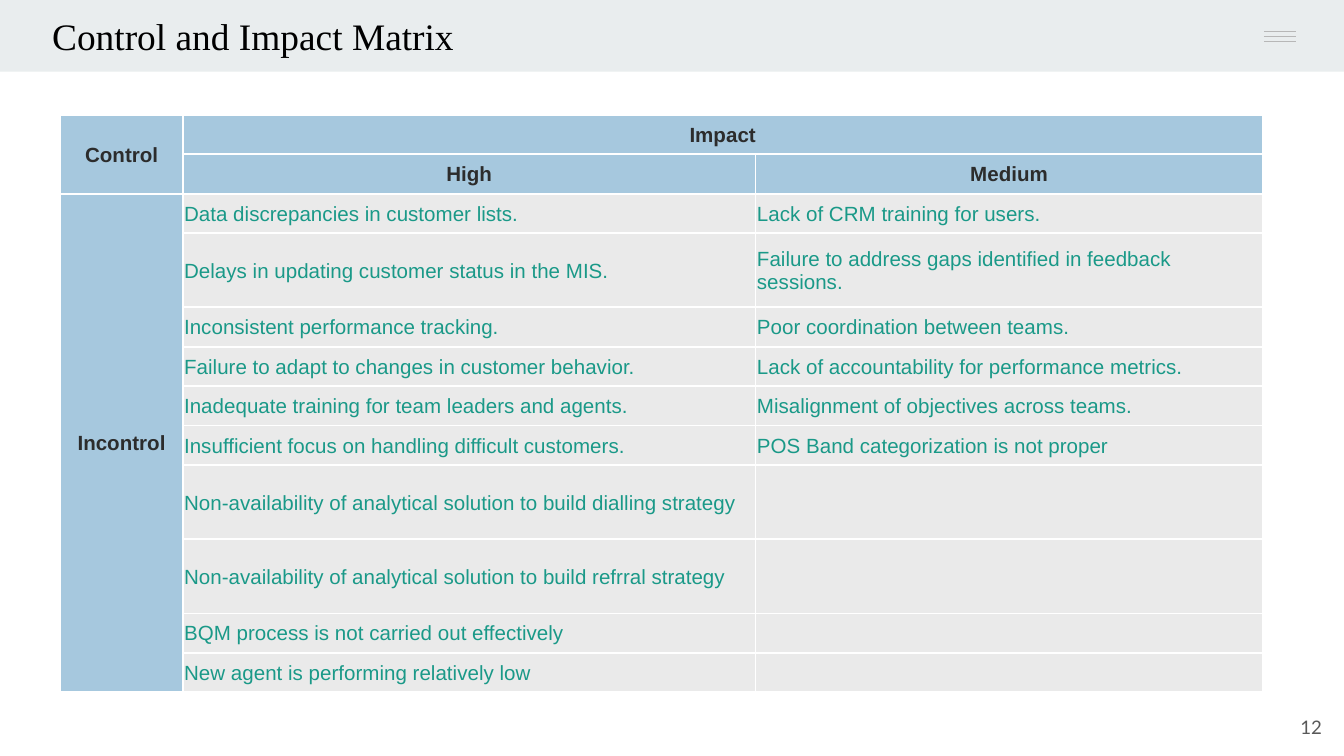
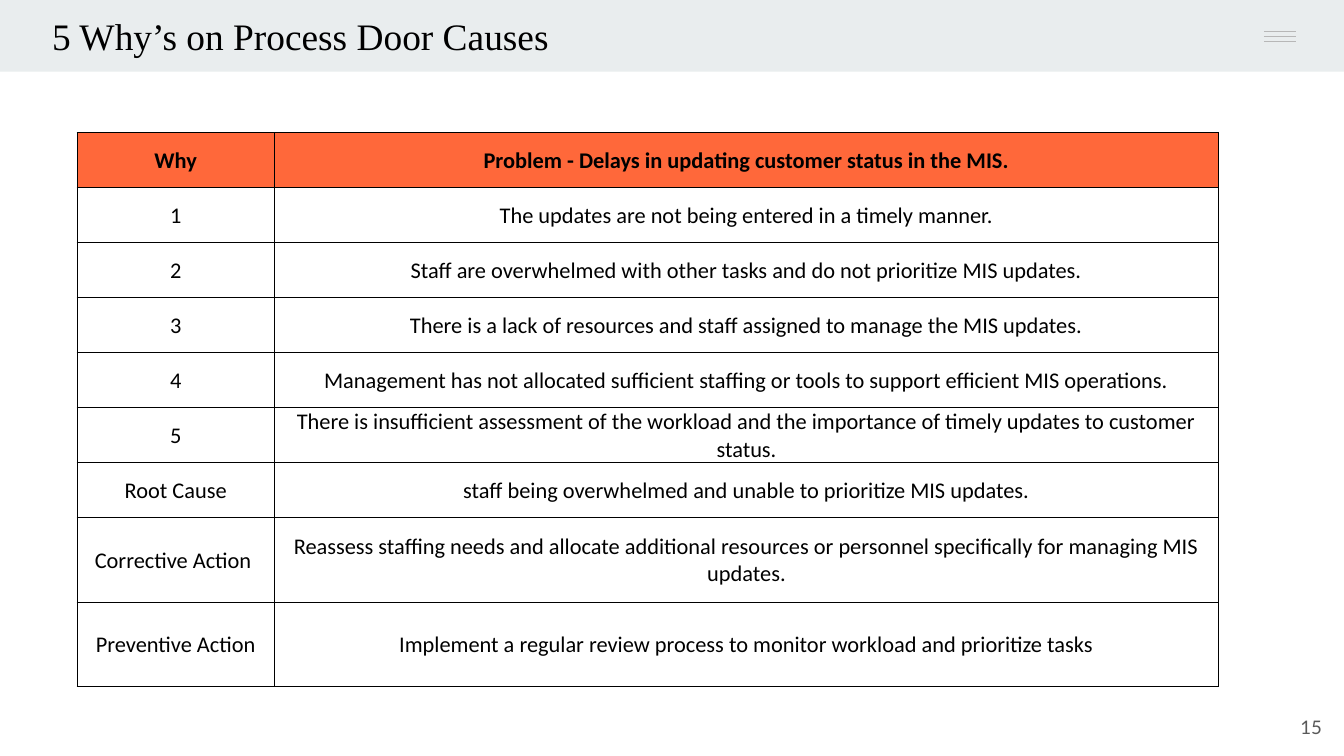
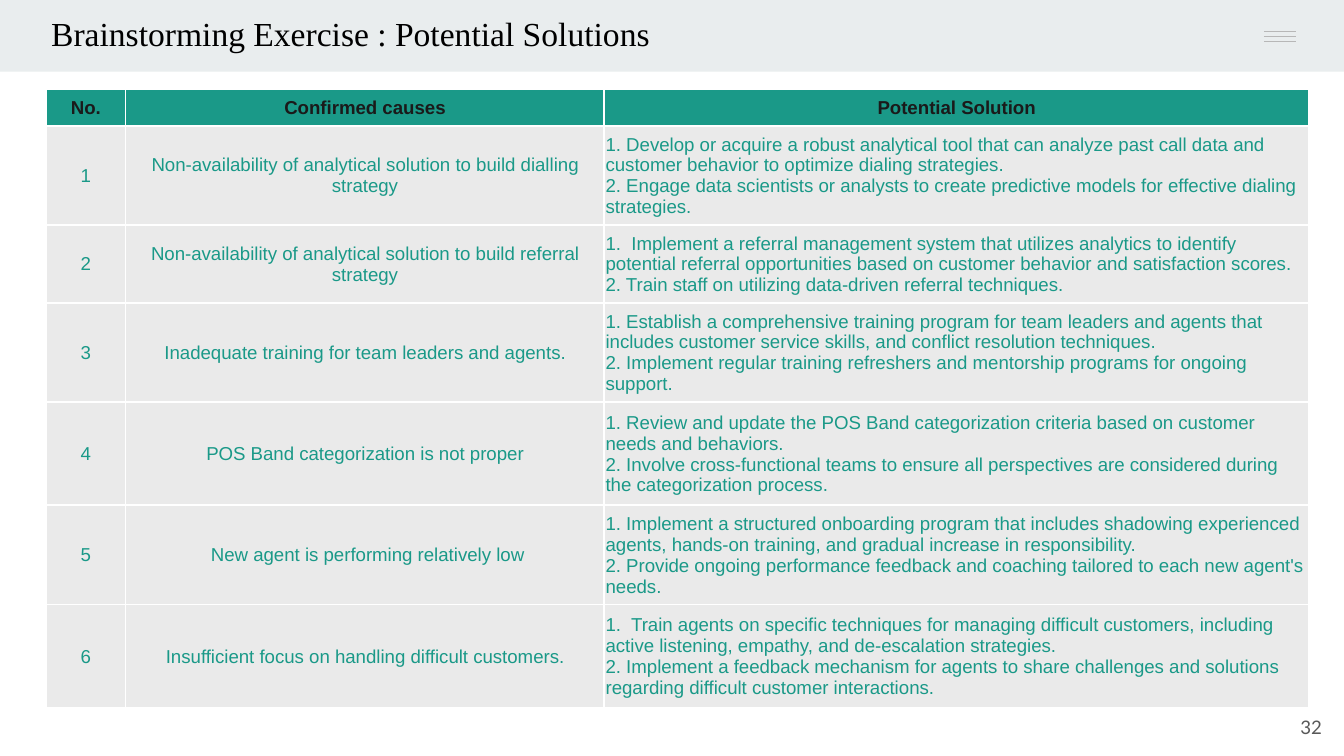
from itertools import product

from lxml import etree
from pptx import Presentation
from pptx import util as u
from pptx.dml.color import RGBColor
from pptx.enum import shapes, text
from pptx.oxml.ns import qn

SLIDE_WIDTH = u.Inches(10)
SLIDE_HEIGHT = u.Emu(SLIDE_WIDTH * 9 // 16)
UNIT = SLIDE_WIDTH / 100

BAND = RGBColor(0xE9, 0xED, 0xEE)
MENU_GREY = RGBColor(0xB7, 0xB7, 0xB7)
NUMBER_GREY = RGBColor(0x59, 0x59, 0x59)
BLACK = RGBColor(0x00, 0x00, 0x00)
WHITE = RGBColor(0xFF, 0xFF, 0xFF)
TEAL = RGBColor(0x1A, 0x99, 0x88)
PALE_BLUE = RGBColor(0xA6, 0xC8, 0xDE)
CELL_GREY = RGBColor(0xEA, 0xEA, 0xEA)
ORANGE = RGBColor(0xFF, 0x68, 0x3A)
CHARCOAL = RGBColor(0x2C, 0x2C, 0x2C)
INK = RGBColor(0x1A, 0x1A, 0x1A)

LEFT, CENTER, RIGHT = text.PP_ALIGN.LEFT, text.PP_ALIGN.CENTER, text.PP_ALIGN.RIGHT

BAND_BOX = (0, 0, 100, 5.33)
MENU_BOX = (90.6, 0, 9.4, 5)
NUMBER_BOX = (93.35, 51.95, 6, 4.3)

IMPACT_ROWS = [
    ("Control", "Impact", ""),
    ("", "High", "Medium"),
    ("Incontrol", "Data discrepancies in customer lists.", "Lack of CRM training for users."),
    ("", "Delays in updating customer status in the MIS.",
     "Failure to address gaps identified in feedback sessions."),
    ("", "Inconsistent performance tracking.", "Poor coordination between teams."),
    ("", "Failure to adapt to changes in customer behavior.",
     "Lack of accountability for performance metrics."),
    ("", "Inadequate training for team leaders and agents.",
     "Misalignment of objectives across teams."),
    ("", "Insufficient focus on handling difficult customers.",
     "POS Band categorization is not proper"),
    ("", "Non-availability of analytical solution to build dialling strategy", ""),
    ("", "Non-availability of analytical solution to build refrral strategy", ""),
    ("", "BQM process is not carried out effectively", ""),
    ("", "New agent is performing relatively low", ""),
]

WHY_ROWS = [
    ("Why", "Problem - Delays in updating customer status in the MIS."),
    ("1", "The updates are not being entered in a timely manner."),
    ("2", "Staff are overwhelmed with other tasks and do not prioritize MIS updates."),
    ("3", "There is a lack of resources and staff assigned to manage the MIS updates."),
    ("4", "Management has not allocated sufficient staffing or tools to support efficient "
          "MIS operations."),
    ("5", "There is insufficient assessment of the workload and the importance of timely "
          "updates to customer status."),
    ("Root Cause", "staff being overwhelmed and unable to prioritize MIS updates."),
    ("Corrective Action ", "Reassess staffing needs and allocate additional resources or "
                           "personnel specifically for managing MIS updates."),
    ("Preventive Action", "Implement a regular review process to monitor workload and "
                          "prioritize tasks"),
]

SOLUTION_ROWS = [
    ("No.", "Confirmed causes", "Potential Solution"),
    ("1", "Non-availability of analytical solution to build dialling strategy",
     "1. Develop or acquire a robust analytical tool that can analyze past call data and "
     "customer behavior to optimize dialing strategies.\n"
     "2. Engage data scientists or analysts to create predictive models for effective "
     "dialing strategies."),
    ("2", "Non-availability of analytical solution to build referral strategy",
     "1.  Implement a referral management system that utilizes analytics to identify "
     "potential referral opportunities based on customer behavior and satisfaction scores.\n"
     "2. Train staff on utilizing data-driven referral techniques."),
    ("3", "Inadequate training for team leaders and agents.",
     "1. Establish a comprehensive training program for team leaders and agents that "
     "includes customer service skills, and conflict resolution techniques.\n"
     "2. Implement regular training refreshers and mentorship programs for ongoing support."),
    ("4", "POS Band categorization is not proper",
     "1. Review and update the POS Band categorization criteria based on customer needs "
     "and behaviors.\n"
     "2. Involve cross-functional teams to ensure all perspectives are considered during "
     "the categorization process."),
    ("5", " New agent is performing relatively low",
     "1. Implement a structured onboarding program that includes shadowing experienced "
     "agents, hands-on training, and gradual increase in responsibility.\n"
     "2. Provide ongoing performance feedback and coaching tailored to each new agent's "
     "needs."),
    ("6", "Insufficient focus on handling difficult customers.",
     "1.  Train agents on specific techniques for managing difficult customers, including "
     "active listening, empathy, and de-escalation strategies.\n"
     "2. Implement a feedback mechanism for agents to share challenges and solutions "
     "regarding difficult customer interactions."),
]


def place(*lengths):
    """Turn grid units, each a hundredth of the slide's width, into slide lengths."""
    return [u.Emu(round(length * UNIT)) for length in lengths]


def shares(total, weights):
    """Split a length in grid units in proportion to the weights."""
    return place(*(total * weight / sum(weights) for weight in weights))


def set_all(target, values):
    """Set each named attribute of the target."""
    for name, value in values.items():
        setattr(target, name, value)


def write(paragraph, content, font, size, color, bold=False, align=LEFT):
    """Write one paragraph in one format, line breaks included."""
    paragraph.text = content
    paragraph.alignment = align
    for run in paragraph.runs:
        set_all(run.font, {"name": font, "size": u.Pt(size), "bold": bold})
        run.font.color.rgb = color
    points = str(size * 100)
    for line_break in paragraph._p.findall(qn("a:br")):
        etree.SubElement(line_break, qn("a:rPr"), sz=points)
    etree.SubElement(paragraph._p, qn("a:endParaRPr"), sz=points)


def add_label(slide, box, content, anchor=text.MSO_ANCHOR.TOP, **style):
    """Add a wrapped text box with equal insets."""
    frame = slide.shapes.add_textbox(*place(*box)).text_frame
    sides = ("left", "top", "right", "bottom")
    set_all(frame, {"word_wrap": True, "vertical_anchor": anchor,
                    **{f"margin_{side}": u.Inches(0.1) for side in sides}})
    write(frame.paragraphs[0], content, **style)


def add_band(slide, box):
    """Add a plain band without outline."""
    band = slide.shapes.add_shape(shapes.MSO_SHAPE.RECTANGLE, *place(*box))
    band.shadow.inherit = False
    band.fill.solid()
    band.fill.fore_color.rgb = BAND
    band.line.fill.background()


def add_menu(slide, box):
    """Add the three menu lines on their own band."""
    add_band(slide, box)
    left, top = box[0] + 3.45, box[1] + 2.35
    for index in range(3):
        height = top + 0.37 * index
        line = slide.shapes.add_connector(
            shapes.MSO_CONNECTOR.STRAIGHT, *place(left, height, left + 2.4, height))
        line.line.color.rgb = MENU_GREY
        line.line.width = u.Pt(0.75)
        etree.SubElement(line._element.spPr, qn("a:effectLst"))


def add_page(presentation, title, number, title_width=51.2, title_size=20):
    """Add a blank slide with its header and page number."""
    slide = presentation.slides.add_slide(presentation.slide_layouts[6])
    add_band(slide, BAND_BOX)
    add_menu(slide, MENU_BOX)
    add_label(slide, (2.2, 0, title_width, BAND_BOX[3]), " " + title,
              font="Times New Roman", size=title_size, color=BLACK)
    add_label(slide, NUMBER_BOX, str(number), text.MSO_ANCHOR.MIDDLE,
              font="Lato", size=10, color=NUMBER_GREY, align=RIGHT)
    return slide


def add_borders(cell, color, width):
    """Draw the four borders of a cell."""
    properties = cell._tc.get_or_add_tcPr()
    for side in "LRTB":
        line = etree.SubElement(properties, qn(f"a:ln{side}"), w=str(u.Pt(width)))
        fill = etree.SubElement(line, qn("a:solidFill"))
        etree.SubElement(fill, qn("a:srgbClr"), val=str(color))


def add_grid(slide, box, columns, heights, rows, border, style, merges=()):
    """Add a table whose columns and rows share the box by weight."""
    left, top, width, height = box
    table = slide.shapes.add_table(len(rows), len(columns), *place(*box)).table
    set_all(table, {"first_row": False, "horz_banding": False})
    for column, length in zip(table.columns, shares(width, columns)):
        column.width = length
    for row, length in zip(table.rows, shares(height, heights)):
        row.height = length
    for first, last in merges:
        table.cell(*first).merge(table.cell(*last))
    for row, column in product(range(len(rows)), range(len(columns))):
        cell = table.cell(row, column)
        fill, cell_style = style(row, column)
        set_all(cell, {"margin_left": u.Inches(0.01), "margin_right": u.Inches(0.01),
                       "margin_top": u.Inches(0.01), "margin_bottom": 0,
                       "vertical_anchor": text.MSO_ANCHOR.MIDDLE})
        add_borders(cell, *border)
        if fill is None:
            cell.fill.background()
        else:
            cell.fill.solid()
            cell.fill.fore_color.rgb = fill
        write(cell.text_frame.paragraphs[0], rows[row][column], **cell_style)


def impact_style(row, column):
    """Give the fill and text format of an impact matrix cell."""
    base = {"font": "Arial", "size": 11}
    if row < 2 or column == 0:
        return PALE_BLUE, {**base, "color": CHARCOAL, "bold": True, "align": CENTER}
    return CELL_GREY, {**base, "color": TEAL}


def why_style(row, column):
    """Give the fill and text format of a five whys cell."""
    header = row == 0
    return ORANGE if header else None, {
        "font": "Calibri", "size": 12, "color": BLACK, "bold": header, "align": CENTER}


def solution_style(row, column):
    """Give the fill and text format of a solutions cell."""
    header = row == 0
    return TEAL if header else CELL_GREY, {
        "font": "Arial", "size": 10, "color": INK if header else TEAL, "bold": header,
        "align": CENTER if header or column < 2 else LEFT}


def build_impact_matrix(presentation):
    """Build the control and impact matrix."""
    slide = add_page(presentation, "Control and Impact Matrix", 12)
    heights = [15 if row in (3, 8, 9) else 8 for row in range(len(IMPACT_ROWS))]
    add_grid(slide, (4.5, 8.54, 89.45, 43), (91, 426, 377), heights, IMPACT_ROWS,
             (WHITE, 1), impact_style,
             [((0, 0), (1, 0)), ((0, 1), (0, 2)), ((2, 0), (11, 0))])


def build_whys(presentation):
    """Build the five whys table."""
    slide = add_page(presentation, "5 Why’s on Process Door Causes", 15)
    add_grid(slide, (5.73, 9.86, 84.95, 41.25), (147, 703), [13] * 7 + [20] * 2, WHY_ROWS,
             (BLACK, 0.5), why_style)


def build_solutions(presentation):
    """Build the potential solutions table."""
    slide = add_page(presentation, "Brainstorming Exercise : Potential Solutions", 32,
                     title_width=87.9, title_size=18)
    add_grid(slide, (3.44, 6.66, 93.95, 46), (59, 356, 524), (27, 74, 58, 74, 77, 74, 77),
             SOLUTION_ROWS, (WHITE, 1), solution_style)


def main():
    """Build and save the presentation."""
    presentation = Presentation()
    set_all(presentation, {"slide_width": SLIDE_WIDTH, "slide_height": SLIDE_HEIGHT})
    for build in (build_impact_matrix, build_whys, build_solutions):
        build(presentation)
    presentation.save("out.pptx")


if __name__ == "__main__":
    main()
